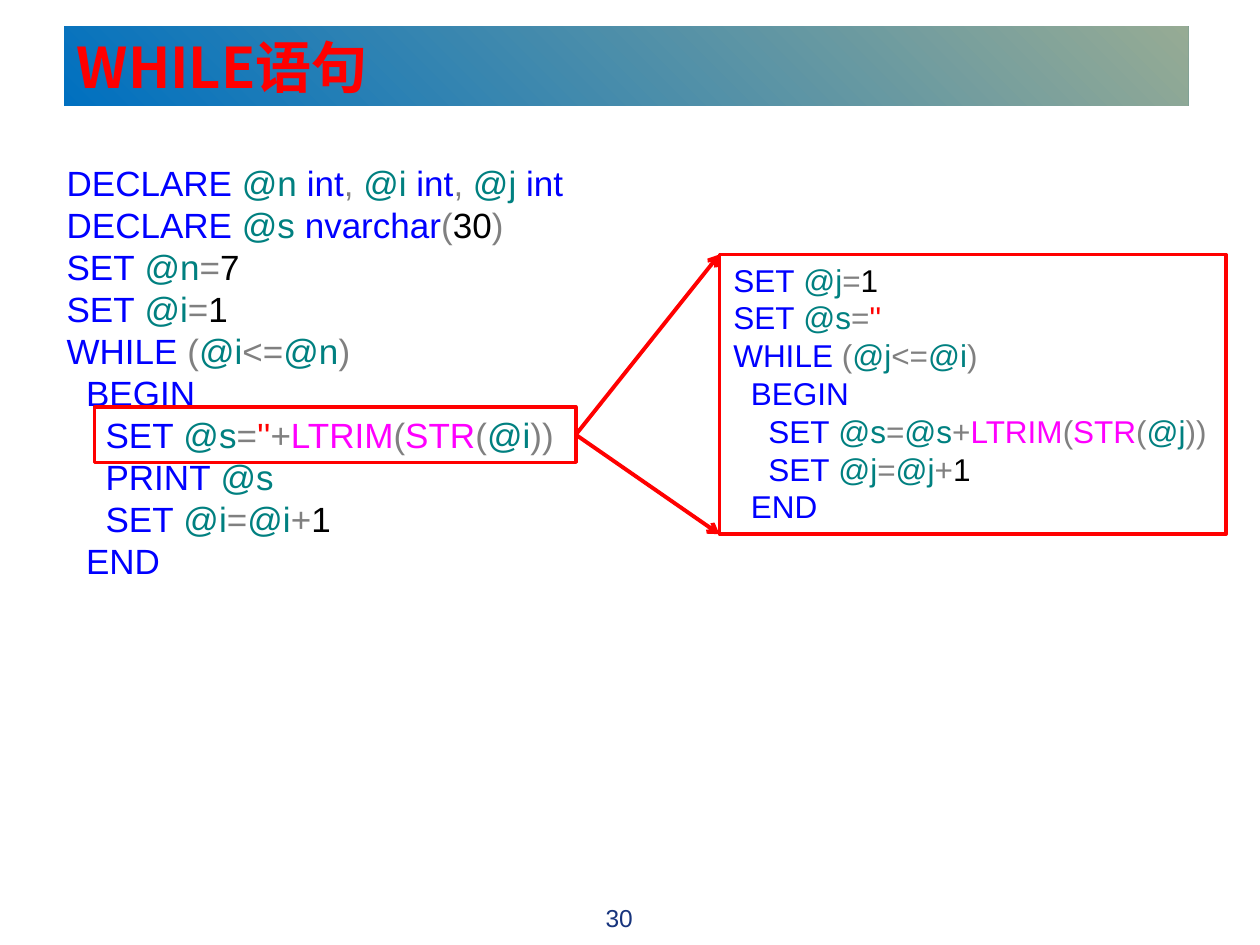
from itertools import groupby

from lxml.etree import SubElement
from pptx import Presentation
from pptx.dml.color import RGBColor
from pptx.enum.shapes import MSO_CONNECTOR, MSO_SHAPE
from pptx.enum.text import MSO_ANCHOR, PP_ALIGN
from pptx.oxml.ns import qn
from pptx.util import Inches, Pt

COLORS = {
    "title": "FF0000",
    "bar_start": "0070C0",
    "bar_end": "96AB94",
    "page": "17347D",
    "frame": "FF0000",
    "keyword": "0000FF",
    "variable": "008080",
    "operator": "808080",
    "number": "000000",
    "string": "FF0000",
    "function": "FF00FF",
}
FUNCTIONS = {"LTRIM", "STR"}
MAIN_CODE = """DECLARE @n int, @i int, @j int
DECLARE @s nvarchar(30)
SET @n=7
SET @i=1
WHILE (@i<=@n)
  BEGIN
    SET @s=''+LTRIM(STR(@i))
    PRINT @s
    SET @i=@i+1
  END"""
INNER_CODE = """SET @j=1
SET @s=''
WHILE (@j<=@i)
  BEGIN
    SET @s=@s+LTRIM(STR(@j))
    SET @j=@j+1
  END"""


def color(name):
    """Return the named colour."""
    return RGBColor.from_string(COLORS[name])


def add_run(paragraph, text, *, size, fill, font="Arial", bold=False):
    """Append formatted text to a paragraph."""
    run = paragraph.add_run()
    run.text = text
    run.font.size = Pt(size)
    run.font.name = font
    run.font.bold = bold
    run.font.color.rgb = color(fill)
    SubElement(run.font._element, qn("a:ea")).set("typeface", font)


def character_class(character):
    """Group characters into words, quotes, spaces and operators."""
    if character.isalnum() or character == "@":
        return "word"
    if character == "'":
        return "quote"
    return "space" if character == " " else "operator"


def token_color(token):
    """Choose the syntax colour of an SQL token."""
    if token.startswith("@"):
        return "variable"
    if token.startswith("'"):
        return "string"
    if token.isdigit():
        return "number"
    if token in FUNCTIONS:
        return "function"
    return "keyword" if token.isalpha() else "operator"


def add_title(slide, text):
    """Format the title placeholder as a gradient bar."""
    title = slide.shapes.title
    title.left, title.top = Inches(0.51), Inches(0.21)
    title.width, title.height = Inches(8.92), Inches(0.63)
    title.fill.gradient()
    title.fill.gradient_angle = 45
    for stop, name, position in zip(title.fill.gradient_stops, ("bar_start", "bar_end"), (0, 1)):
        stop.color.rgb = color(name)
        stop.position = position
    title.text_frame.vertical_anchor = MSO_ANCHOR.MIDDLE
    paragraph = title.text_frame.paragraphs[0]
    paragraph.alignment = PP_ALIGN.LEFT
    add_run(paragraph, text, size=32, fill="title", font="Noto Sans CJK SC", bold=True)


def add_text_box(slide, left, top, width, height):
    """Add a wrapping text box and return its text frame."""
    box = slide.shapes.add_textbox(Inches(left), Inches(top), Inches(width), Inches(height))
    box.text_frame.word_wrap = True
    return box.text_frame


def add_code(slide, code, left, top, width, height, *, size, inset=0.1):
    """Add a listing with SQL syntax colours."""
    frame = add_text_box(slide, left, top, width, height)
    frame.margin_left = Inches(inset)
    for index, line in enumerate(code.splitlines()):
        paragraph = frame.add_paragraph() if index else frame.paragraphs[0]
        paragraph.line_spacing = Pt(size * 1.2)
        for _, characters in groupby(line, character_class):
            token = "".join(characters)
            add_run(paragraph, token, size=size, fill=token_color(token))


def add_frame(slide, left, top, width, height):
    """Add an unfilled red rectangle."""
    shape = slide.shapes.add_shape(
        MSO_SHAPE.RECTANGLE, Inches(left), Inches(top), Inches(width), Inches(height))
    shape.shadow.inherit = False
    shape.fill.background()
    shape.line.color.rgb = color("frame")
    shape.line.width = Pt(2)
    return shape


def add_arrow(slide, source, end_x, end_y):
    """Draw an arrow from the right side of a rectangle to a point."""
    arrow = slide.shapes.add_connector(MSO_CONNECTOR.STRAIGHT, 0, 0, end_x, end_y)
    arrow.begin_connect(source, 3)
    arrow.line.color.rgb = color("frame")
    arrow.line.width = Pt(2.25)
    SubElement(arrow.line._get_or_add_ln(), qn("a:tailEnd")).set("type", "arrow")
    SubElement(arrow._element.spPr, qn("a:effectLst"))


def main():
    """Build and save the slide."""
    presentation = Presentation()
    presentation.slide_width, presentation.slide_height = Inches(10), Inches(7.5)
    slide = presentation.slides.add_slide(presentation.slide_layouts[5])
    add_title(slide, "WHILE语句")

    page = add_text_box(slide, 3.75, 7.12, 2.33, 0.34).paragraphs[0]
    page.alignment = PP_ALIGN.CENTER
    add_run(page, "30", size=14, fill="page")

    add_code(slide, MAIN_CODE, 0.43, 1.23, 4.45, 3.44, size=20)
    add_code(slide, INNER_CODE, 5.44, 2.02, 4.45, 2.2, size=18, inset=0.38)

    statement = add_frame(slide, 0.75, 3.23, 3.82, 0.44)
    expansion = add_frame(slide, 5.71, 2.02, 4.02, 2.22)
    for corner_y in (expansion.top, expansion.top + expansion.height):
        add_arrow(slide, statement, expansion.left, corner_y)

    presentation.save("out.pptx")


if __name__ == "__main__":
    main()
